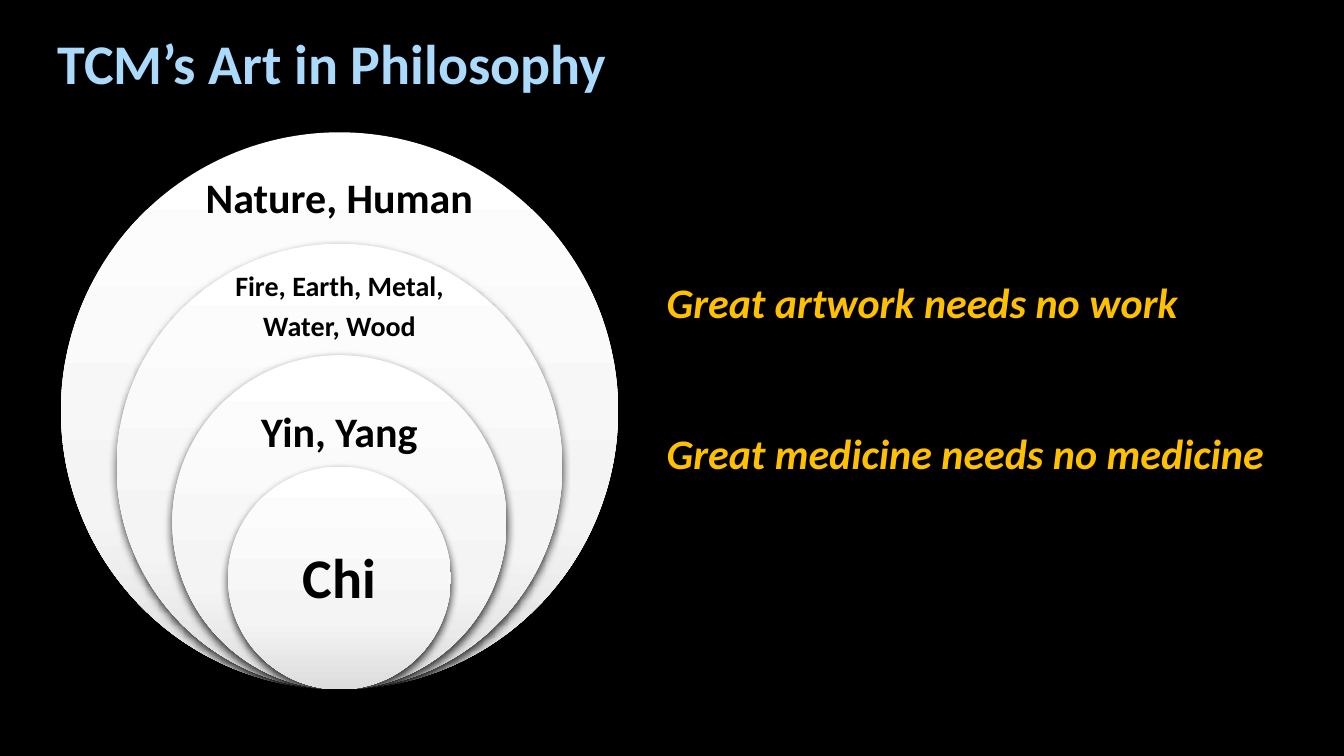
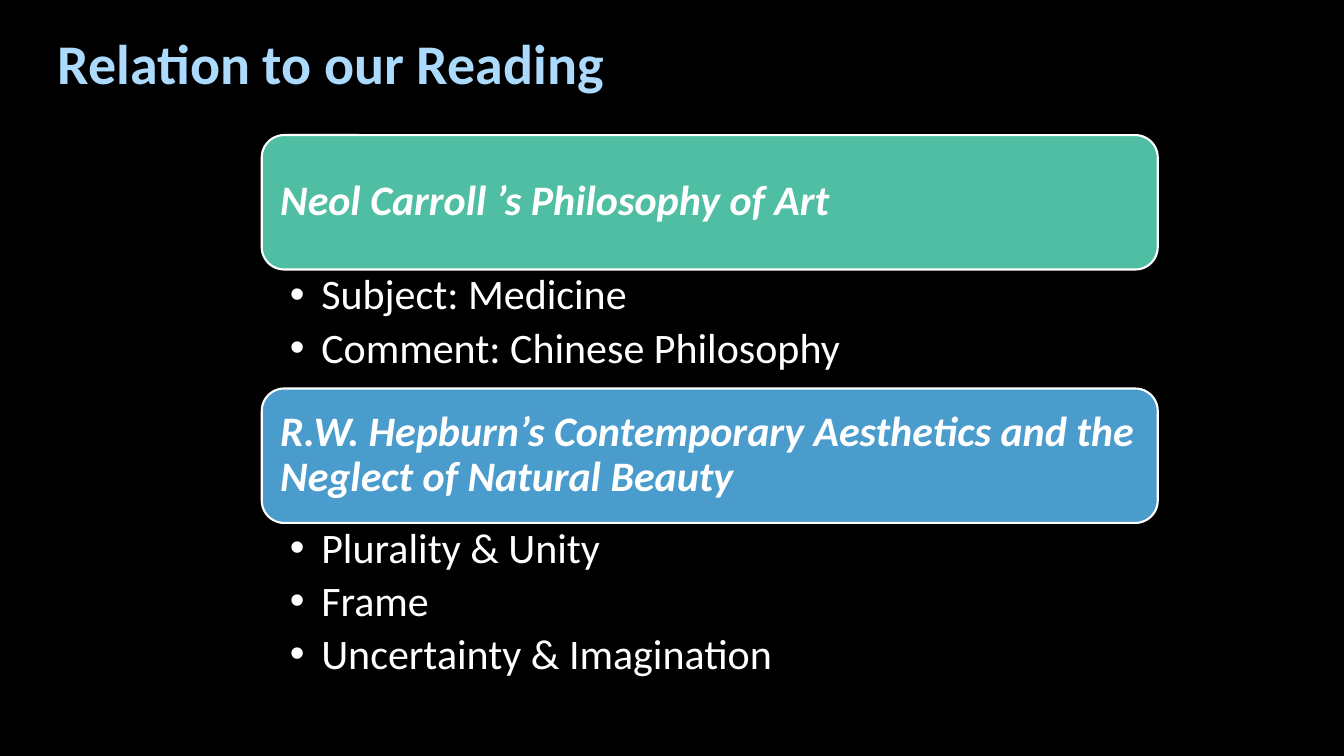
from dataclasses import dataclass

from lxml.etree import SubElement
from pptx import Presentation
from pptx.dml.color import RGBColor
from pptx.enum.shapes import MSO_SHAPE
from pptx.enum.text import MSO_ANCHOR, MSO_AUTO_SIZE, PP_ALIGN
from pptx.oxml.ns import qn
from pptx.util import Pt


@dataclass(frozen=True)
class Theme:
    font: str = "Calibri"
    background: str = "000000"
    title: str = "ABDAFC"
    accent: str = "FFC000"
    light: str = "FFFFFF"
    dark: str = "000000"
    green: str = "50BEA3"
    blue: str = "4A9CCC"
    disc: tuple = ((0, "FFFFFF"), (69, "F4F4F4"), (100, "DDDDDD"))
    large: int = 40
    medium: int = 30
    small: int = 20


T = Theme()


def rgb(value):
    return RGBColor.from_string(value)


def place(sp, x, y, w, h):
    sp.left, sp.top, sp.width, sp.height = Pt(x), Pt(y), Pt(w), Pt(h)


def put_text(sp, lines, *, size=T.medium, color=T.light, bold=False, italic=False,
             align=PP_ALIGN.LEFT, anchor=MSO_ANCHOR.TOP, margins=(7.2, 3.6, 7.2, 3.6),
             spacing=1.0, gap=0, bullet=None, indent=0):
    """Fill a shape with paragraphs; margins run left, top, right, bottom."""
    tf = sp.text_frame
    tf.word_wrap = True
    tf.auto_size = MSO_AUTO_SIZE.NONE
    tf.vertical_anchor = anchor
    tf.margin_left, tf.margin_top, tf.margin_right, tf.margin_bottom = map(Pt, margins)
    for i, line in enumerate(lines):
        p = tf.add_paragraph() if i else tf.paragraphs[0]
        pPr = p._p.get_or_add_pPr()
        pPr.set("marL", str(Pt(indent)))
        pPr.set("indent", str(-Pt(indent)))
        if bullet:
            SubElement(pPr, qn("a:buChar")).set("char", bullet)
        else:
            SubElement(pPr, qn("a:buNone"))
        p.alignment = align
        p.line_spacing = spacing
        p.space_before = Pt(gap if i else 0)
        p.space_after = Pt(0)
        r = p.add_run()
        r.text = line
        r.font.name, r.font.size = T.font, Pt(size)
        r.font.bold, r.font.italic = bold, italic
        r.font.color.rgb = rgb(color)


def style_master(prs):
    master = prs.slide_master
    master.background.fill.solid()
    master.background.fill.fore_color.rgb = rgb(T.background)
    place(master.placeholders[0], 34, 17, 840, 55.5)


def add_slide(prs, layout, title):
    s = prs.slides.add_slide(prs.slide_layouts.get_by_name(layout))
    put_text(s.shapes.title, [title], size=T.large, color=T.title, bold=True)
    return s


def add_disc(s, center_x, bottom, diameter):
    """Add a circle with a soft grey gradient and a shadow below it."""
    sp = s.shapes.add_shape(MSO_SHAPE.OVAL, Pt(center_x - diameter / 2),
                            Pt(bottom - diameter), Pt(diameter), Pt(diameter))
    sp.line.fill.background()
    sp.fill.gradient()
    sp.fill.gradient_angle = 270
    spPr = sp._element.spPr
    stops = spPr.find(qn("a:gradFill")).find(qn("a:gsLst"))
    stops.clear()
    for position, color in T.disc:
        stop = SubElement(stops, qn("a:gs"), pos=str(position * 1000))
        SubElement(stop, qn("a:srgbClr"), val=color)
    sp.shadow.inherit = False
    shadow = SubElement(spPr.find(qn("a:effectLst")), qn("a:outerShdw"),
                        blurRad=str(Pt(6)), dist=str(Pt(3)), dir="5400000", rotWithShape="0")
    color = SubElement(shadow, qn("a:srgbClr"), val=T.dark)
    SubElement(color, qn("a:alpha"), val="76000")


def add_label(s, center_x, center_y, lines, size):
    w, h = 220, 70
    sp = s.shapes.add_textbox(Pt(center_x - w / 2), Pt(center_y - h / 2), Pt(w), Pt(h))
    put_text(sp, lines, size=size, color=T.dark, bold=True, align=PP_ALIGN.CENTER,
             anchor=MSO_ANCHOR.MIDDLE, margins=(0, 0, 0, 0), spacing=0.9, gap=6.5)


def add_nested_discs(s, rings):
    """Stack circles that touch at the bottom, each a fifth of the largest smaller."""
    center_x, bottom, diameter = 242.5, 492.5, 398
    for i, (lines, size, label_y) in enumerate(rings):
        add_disc(s, center_x, bottom, diameter * (5 - i) / 5)
        add_label(s, center_x, label_y, lines, size)


def add_header(s, x, y, w, h, text, fill):
    sp = s.shapes.add_shape(MSO_SHAPE.ROUNDED_RECTANGLE, Pt(x), Pt(y), Pt(w), Pt(h))
    sp.shadow.inherit = False
    sp.fill.solid()
    sp.fill.fore_color.rgb = rgb(fill)
    sp.line.color.rgb = rgb(T.light)
    sp.line.width = Pt(1.5)
    put_text(sp, [text], bold=True, italic=True, anchor=MSO_ANCHOR.MIDDLE,
             margins=(8.5, 4, 8.5, 4), spacing=0.9)


def add_sections(s, sections):
    """Stack headers, each followed by its list in a body placeholder."""
    x, y, w, header_h = 187, 96.5, 640, 96
    for body, (header, fill, items, list_h) in zip(list(s.placeholders)[1:], sections):
        add_header(s, x, y, w, header_h, header, fill)
        y += header_h
        place(body, x, y, w, list_h)
        put_text(body, items, margins=(20, 3, 16, 3), spacing=0.9, gap=5.5,
                 bullet="•", indent=22.5)
        y += list_h


def main():
    prs = Presentation()
    prs.slide_width, prs.slide_height = Pt(960), Pt(540)
    style_master(prs)

    s = add_slide(prs, "Title and Content", "TCM’s Art in Philosophy")
    add_nested_discs(s, [
        (["Nature, Human"], T.medium, 143),
        (["Fire, Earth, Metal,", "Water, Wood"], T.small, 219.5),
        (["Yin, Yang"], T.medium, 310),
        (["Chi"], T.large, 414.5),
    ])
    body = s.placeholders[1]
    place(body, 469, 194, 480, 152)
    put_text(body, ["Great artwork needs no work", "Great medicine needs no medicine"],
             color=T.accent, bold=True, italic=True, gap=72)

    s = add_slide(prs, "Two Content", "Relation to our Reading")
    add_sections(s, [
        ("Neol Carroll ’s Philosophy of Art", T.green,
         ["Subject: Medicine", "Comment: Chinese Philosophy"], 85),
        ("R.W. Hepburn’s Contemporary Aesthetics and the Neglect of Natural Beauty", T.blue,
         ["Plurality & Unity", "Frame", "Uncertainty & Imagination"], 121.5),
    ])
    prs.save("out.pptx")


if __name__ == "__main__":
    main()
